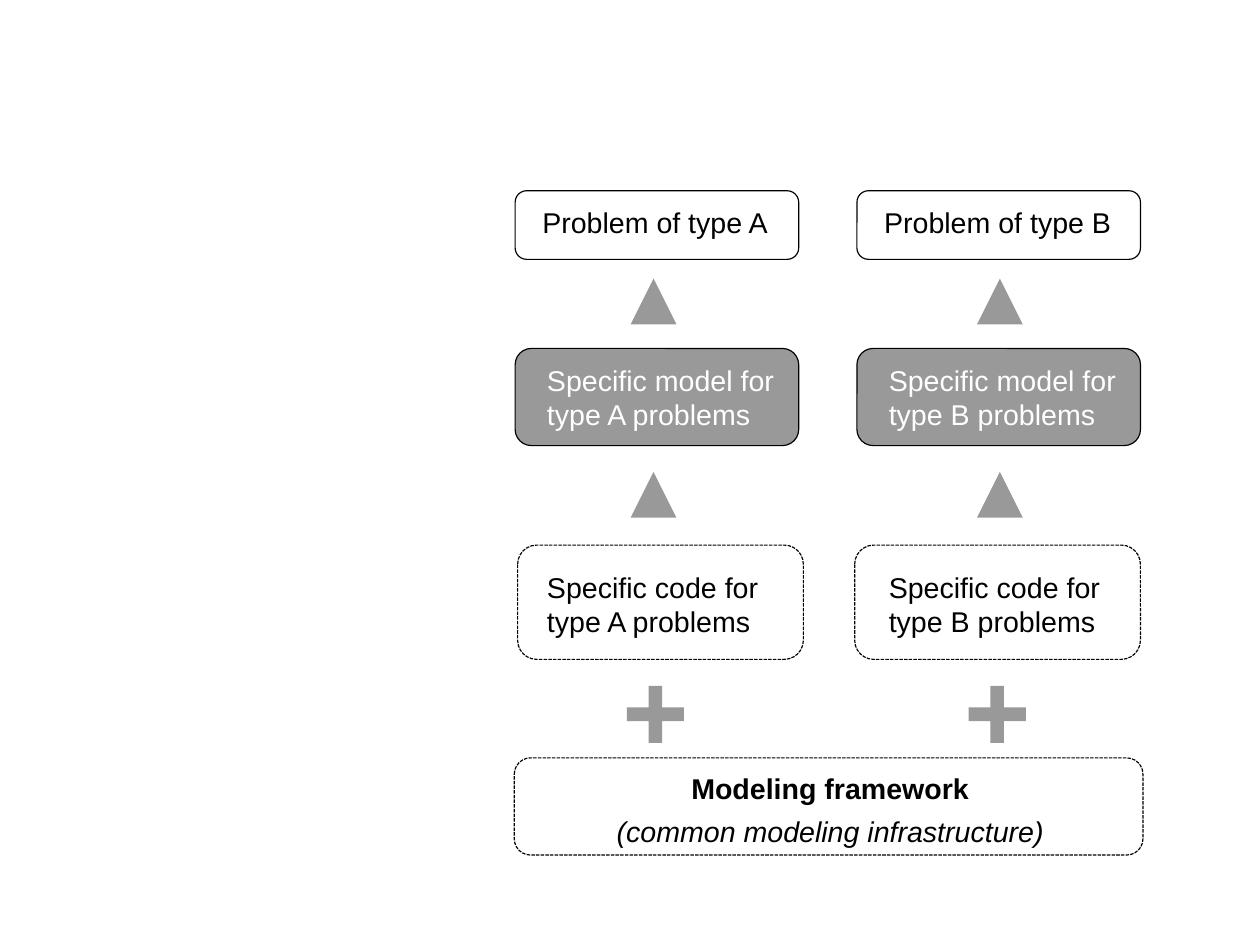
from pptx import Presentation
from pptx.dml.color import RGBColor
from pptx.enum.dml import MSO_LINE
from pptx.enum.shapes import MSO_SHAPE
from pptx.enum.text import MSO_AUTO_SIZE, PP_ALIGN
from pptx.util import Pt

BLACK = RGBColor(0, 0, 0)
WHITE = RGBColor(255, 255, 255)
GREY = RGBColor(0x99, 0x99, 0x99)


def add_box(slide, x, y, w, h, fill=None, dashed=False):
    """Rounded frame with a hairline border."""
    box = slide.shapes.add_shape(
        MSO_SHAPE.ROUNDED_RECTANGLE, Pt(x), Pt(y), Pt(w), Pt(h))
    box.adjustments[0] = 0.167
    box.shadow.inherit = False
    if fill is None:
        box.fill.background()
    else:
        box.fill.solid()
        box.fill.fore_color.rgb = fill
    box.line.color.rgb = BLACK
    box.line.width = Pt(0)
    if dashed:
        box.line.dash_style = MSO_LINE.SQUARE_DOT


def add_sign(slide, kind, x, y, size, adjust):
    """Grey plus or triangle without a border."""
    sign = slide.shapes.add_shape(kind, Pt(x), Pt(y), Pt(size), Pt(size))
    sign.adjustments[0] = adjust
    sign.shadow.inherit = False
    sign.fill.solid()
    sign.fill.fore_color.rgb = GREY
    sign.line.fill.background()


def add_label(slide, x, y, w, h, lines, color=BLACK, align=PP_ALIGN.LEFT):
    """Unwrapped text, one paragraph a line; returns the paragraphs."""
    label = slide.shapes.add_textbox(Pt(x), Pt(y), Pt(w), Pt(h))
    frame = label.text_frame
    frame.word_wrap = False
    frame.auto_size = MSO_AUTO_SIZE.SHAPE_TO_FIT_TEXT
    frame.text = "\n".join(lines)
    for para in frame.paragraphs:
        para.alignment = align
        para.font.name = "Arial"
        para.font.size = Pt(18)
        para.font.color.rgb = color
    return frame.paragraphs


def add_column(slide, kind, left, code_left, arrow_left):
    """One problem type: problem, model and code, from top to bottom."""
    ending = f"type {kind} problems"

    # Problem
    add_box(slide, left, 120.2, 178.6, 43.2, WHITE)
    add_label(slide, left + 10, 125.7, 159, 27.4, [f"Problem of type {kind}"])

    # Model
    add_box(slide, left, 219.5, 178.6, 61.2, GREY)
    add_label(slide, left + 13, 225, 160, 47.5,
              ["Specific model for", ending], WHITE)

    # Code
    add_box(slide, code_left, 343.4, 180, 72, dashed=True)
    add_label(slide, left + 13, 355.4, 150, 47.5,
              ["Specific code for", ending])

    # Signs between the boxes
    for top in (175.5, 297.3):
        add_sign(slide, MSO_SHAPE.ISOSCELES_TRIANGLE,
                 arrow_left, top, 28.8, 0.5)
    add_sign(slide, MSO_SHAPE.CROSS, left + 70.4, 432, 36, 0.381)


def add_base(slide):
    """Shared framework below both columns."""
    add_box(slide, 324, 477.4, 396, 61.2, dashed=True)
    name, note = add_label(
        slide, 380.5, 482, 285, 53.3,
        ["Modeling framework", "(common modeling infrastructure)"],
        align=PP_ALIGN.CENTER)
    name.font.bold = True
    note.font.italic = True
    note.space_before = Pt(5.8)


def main():
    deck = Presentation()
    deck.slide_width = Pt(793.7)
    deck.slide_height = Pt(595.28)
    slide = deck.slides.add_slide(deck.slide_layouts[6])

    add_base(slide)
    add_column(slide, "A", 324.5, 326.1, 397.3)
    add_column(slide, "B", 539.8, 538.4, 615.5)

    deck.save("out.pptx")


if __name__ == "__main__":
    main()
